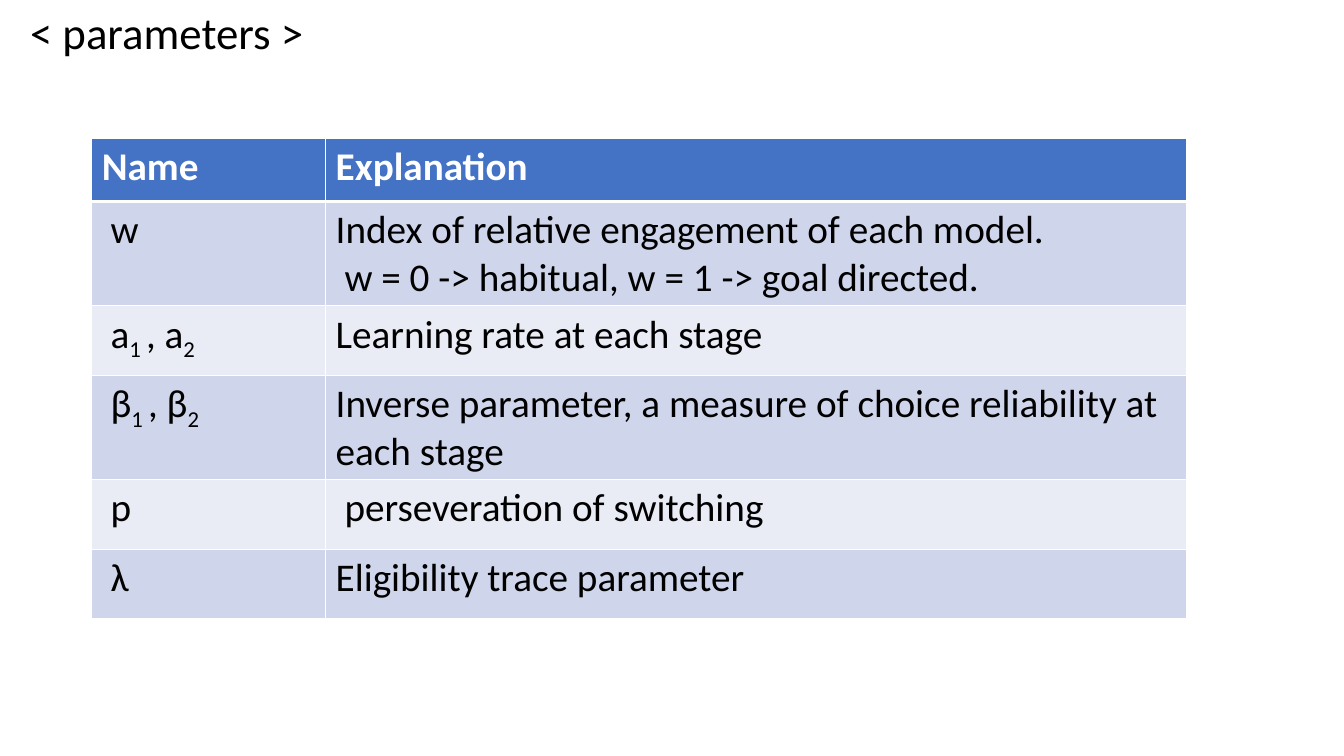
import pptx
import pptx.dml.color
import pptx.enum.text
import pptx.oxml
import pptx.oxml.ns
import pptx.util

Inches = pptx.util.Inches
Pt = pptx.util.Pt

# Text between tildes is subscript; each line is a paragraph.
PARAMETERS = [
    ("Name", "Explanation"),
    (" w", "Index of relative engagement of each model.\n"
           " w = 0 -> habitual, w = 1 -> goal directed."),
    (" a~1 ~, a~2~", "Learning rate at each stage"),
    (" β~1 ~, β~2~", "Inverse parameter, a measure of choice reliability at each stage"),
    (" p", " perseveration of switching"),
    (" λ", "Eligibility trace parameter"),
]


def color(value):
    return pptx.dml.color.RGBColor.from_string(value)


def write_text(frame, text, size, ink="000000", bold=False, font="Calibri"):
    for number, line in enumerate(text.split("\n")):
        para = frame.add_paragraph() if number else frame.paragraphs[0]
        for index, part in enumerate(line.split("~")):
            if not part:
                continue
            span = para.add_run()
            span.text = part
            span.font.name = font
            span.font.size = Pt(size)
            span.font.bold = bold
            span.font.color.rgb = color(ink)
            if index % 2:
                span._r.get_or_add_rPr().set("baseline", "-25000")


def add_border(cell, side, width, ink):
    """Draw one cell edge; side is L, R, T or B, called in that order."""
    cell._tc.get_or_add_tcPr().append(pptx.oxml.parse_xml(
        f'<a:ln{side} {pptx.oxml.ns.nsdecls("a")} w="{Pt(width)}">'
        f'<a:solidFill><a:srgbClr val="{ink}"/></a:solidFill></a:ln{side}>'))


class ParameterPage:
    header_fill = "4472C4"
    band_fills = ("E9EBF5", "CFD5EA")
    white = "FFFFFF"

    def __init__(self, deck):
        self.page = deck.slides.add_slide(deck.slide_layouts[6])

    def title(self, text, left, top, width, height):
        box = self.page.shapes.add_textbox(
            Inches(left), Inches(top), Inches(width), Inches(height))
        box.text_frame.word_wrap = False
        box.text_frame.auto_size = pptx.enum.text.MSO_AUTO_SIZE.SHAPE_TO_FIT_TEXT
        write_text(box.text_frame, text, size=32)

    def table(self, rows, left, top, widths, header_height, row_height):
        heights = [header_height] + [row_height] * (len(rows) - 1)
        table = self.page.shapes.add_table(
            len(rows), len(widths), Inches(left), Inches(top),
            Inches(sum(widths)), Inches(sum(heights))).table
        for column, width in zip(table.columns, widths):
            column.width = Inches(width)
        for row, height in zip(table.rows, heights):
            row.height = Inches(height)
        for row_index, texts in enumerate(rows):
            for column_index, text in enumerate(texts):
                self.cell(table.cell(row_index, column_index), text, row_index)

    def cell(self, cell, text, row_index):
        header = row_index == 0
        edges = {"L": 1, "R": 1, "T": 3 if row_index == 1 else 1, "B": 3 if header else 1}
        for side, width in edges.items():
            add_border(cell, side, width, self.white)
        cell.fill.solid()
        cell.fill.fore_color.rgb = color(
            self.header_fill if header else self.band_fills[row_index % 2])
        write_text(cell.text_frame, text, size=28, bold=header,
                   ink=self.white if header else "000000")


def main():
    deck = pptx.Presentation()
    deck.slide_width = Inches(13.33)
    deck.slide_height = Inches(7.5)
    page = ParameterPage(deck)
    page.title("< parameters >", 0.2, 0, 2.94, 0.64)
    page.table(PARAMETERS, 0.91, 1.37, widths=(2.32, 8.54),
               header_height=0.63, row_height=0.69)
    deck.save("out.pptx")


if __name__ == "__main__":
    main()
